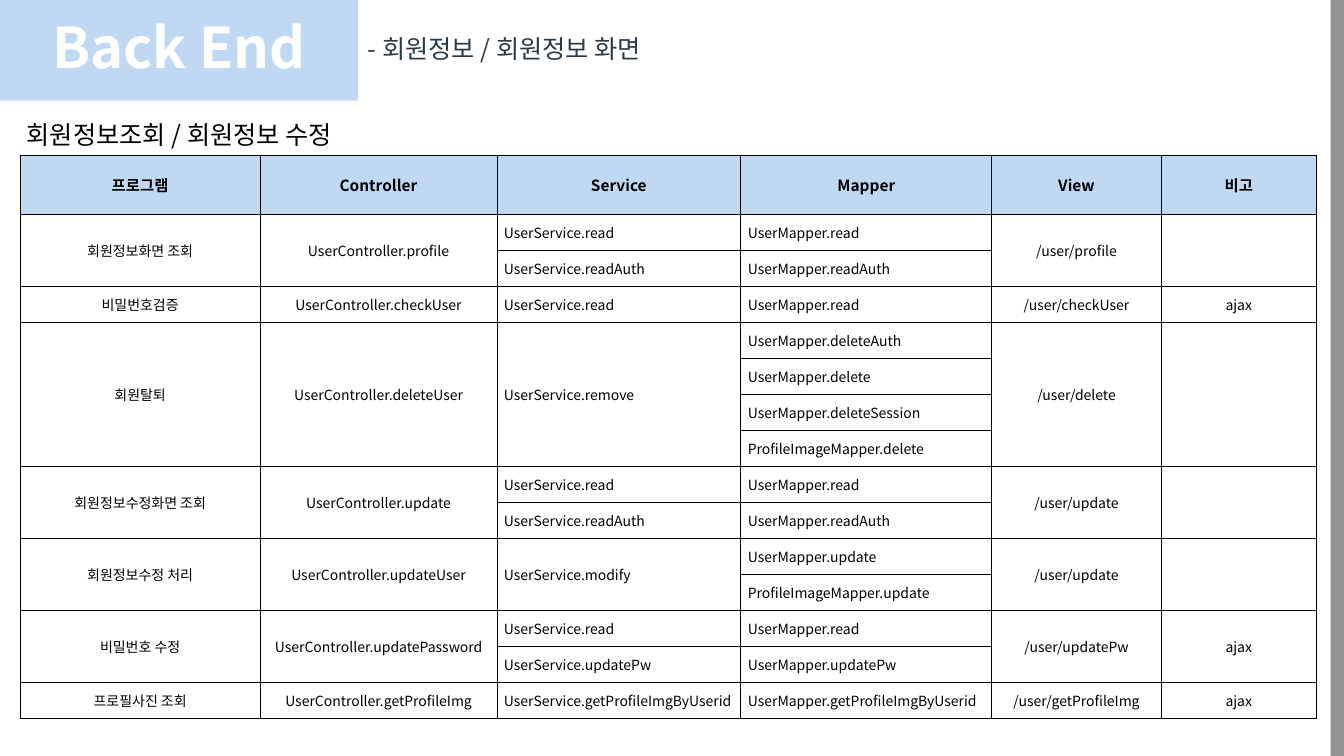
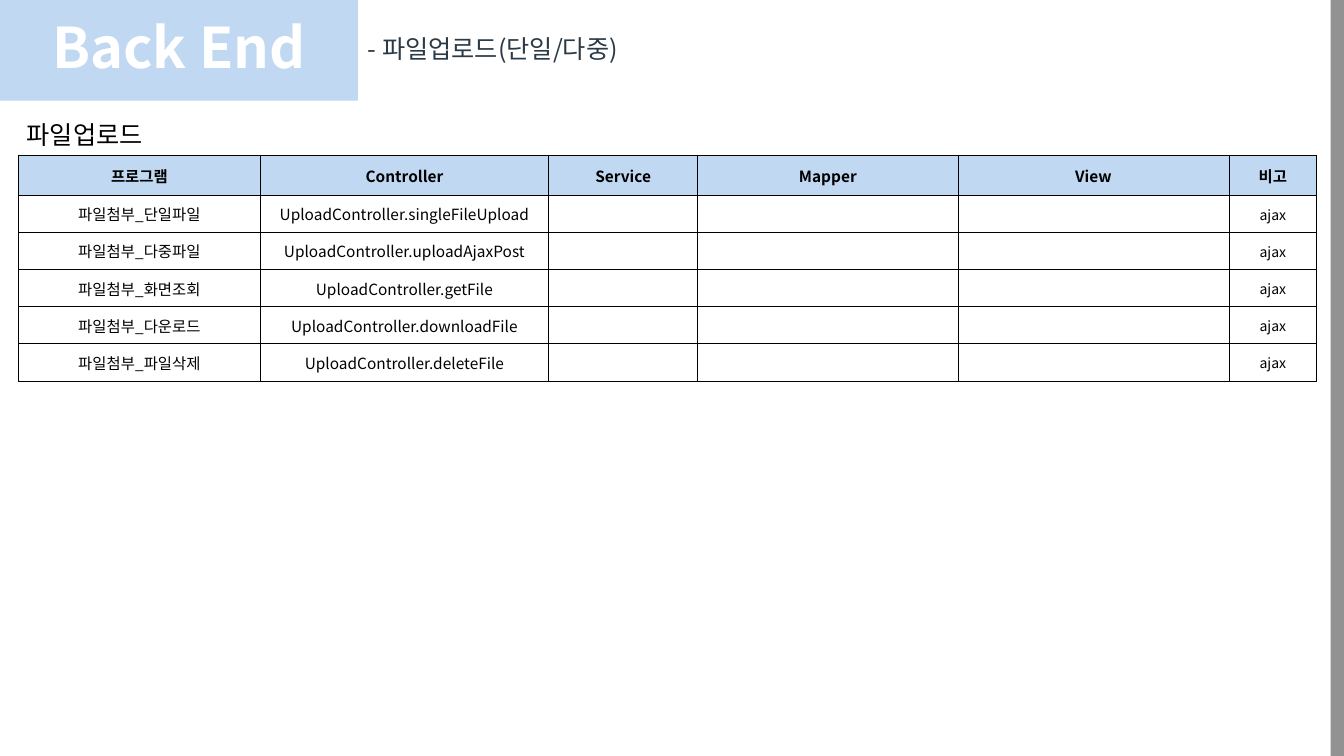
from lxml import etree
from pptx import Presentation
from pptx import util as u
from pptx.dml.color import RGBColor
from pptx.enum import shapes, text
from pptx.oxml.ns import qn

COLORS = {
    "band": "C1D8F2",
    "strip": "929292",
    "title": "2A3A46",
    "ink": "000000",
    "paper": "FFFFFF",
}
FONT = "Noto Sans CJK KR"
SLIDE_WIDTH, SLIDE_HEIGHT = u.Inches(13.33), u.Inches(7.5)
GRID_COLUMNS, GRID_ROWS = 80, 45
BAND_WIDTH, BAND_HEIGHT = 21.3, 6
STRIP_LEFT = 79.2
TABLE_TOP = 9.24
HEADINGS = ("프로그램", "Controller", "Service", "Mapper", "View", "비고")
LEFT_ALIGNED = (2, 3)
CELL_INSETS = (0.07, 0.04)
TIGHT_INSETS = (0.01, 0.01)

MEMBER_PROGRAMS = [
    ("회원정보화면 조회", "UserController.profile",
     ("UserService.read", "UserService.readAuth"),
     ("UserMapper.read", "UserMapper.readAuth"), "/user/profile", ""),
    ("비밀번호검증", "UserController.checkUser",
     "UserService.read", "UserMapper.read", "/user/checkUser", "ajax"),
    ("회원탈퇴", "UserController.deleteUser", "UserService.remove",
     ("UserMapper.deleteAuth", "UserMapper.delete",
      "UserMapper.deleteSession", "ProfileImageMapper.delete"),
     "/user/delete", ""),
    ("회원정보수정화면 조회", "UserController.update",
     ("UserService.read", "UserService.readAuth"),
     ("UserMapper.read", "UserMapper.readAuth"), "/user/update", ""),
    ("회원정보수정 처리", "UserController.updateUser", "UserService.modify",
     ("UserMapper.update", "ProfileImageMapper.update"), "/user/update", ""),
    ("비밀번호 수정", "UserController.updatePassword",
     ("UserService.read", "UserService.updatePw"),
     ("UserMapper.read", "UserMapper.updatePw"), "/user/updatePw", "ajax"),
    ("프로필사진 조회", "UserController.getProfileImg",
     "UserService.getProfileImgByUserid", "UserMapper.getProfileImgByUserid",
     "/user/getProfileImg", "ajax"),
]
UPLOAD_PROGRAMS = [
    (f"파일첨부_{action}", f"UploadController.{method}", "", "", "", "ajax")
    for action, method in (
        ("단일파일", "singleFileUpload"),
        ("다중파일", "uploadAjaxPost"),
        ("화면조회", "getFile"),
        ("다운로드", "downloadFile"),
        ("파일삭제", "deleteFile"),
    )
]


def across(columns):
    return round(SLIDE_WIDTH * columns / GRID_COLUMNS)


def down(rows):
    return round(SLIDE_HEIGHT * rows / GRID_ROWS)


def area(left, top, width, height):
    return across(left), down(top), across(width), down(height)


def color(name):
    return RGBColor.from_string(COLORS[name])


def write(frame, words, size, ink="ink", bold=False, align=text.PP_ALIGN.LEFT):
    para = frame.paragraphs[0]
    para.text = words
    para.alignment = align
    for span in para.runs:
        span.font.size = u.Pt(size)
        span.font.bold = bold
        span.font.name = FONT
        span.font.color.rgb = color(ink)
        east_asian = etree.SubElement(span._r.get_or_add_rPr(), qn("a:ea"))
        east_asian.set("typeface", FONT)
    if not para.runs:
        etree.SubElement(para._p, qn("a:endParaRPr")).set("sz", str(size * 100))
    return para


def add_bar(page, place, fill):
    bar = page.shapes.add_shape(shapes.MSO_SHAPE.RECTANGLE, *place)
    bar.shadow.inherit = False
    bar.fill.solid()
    bar.fill.fore_color.rgb = color(fill)
    bar.line.fill.background()
    return bar


def add_label(page, place, words, ink):
    box = page.shapes.add_textbox(*place)
    box.text_frame.word_wrap = True
    write(box.text_frame, words, 18, ink)
    return box


def add_page(deck, title, subtitle, subtitle_width):
    page = deck.slides.add_slide(deck.slide_layouts[6])
    add_bar(page, area(STRIP_LEFT, 0, GRID_COLUMNS - STRIP_LEFT, GRID_ROWS), "strip")
    band = add_bar(page, area(0, 0, BAND_WIDTH, BAND_HEIGHT), "band")
    band.text_frame.vertical_anchor = text.MSO_ANCHOR.MIDDLE
    section = write(band.text_frame, "Back End", 40, "paper", True, text.PP_ALIGN.CENTER)
    section.line_spacing = 0.9
    heading = add_label(
        page, area(BAND_WIDTH, 0, STRIP_LEFT - BAND_WIDTH, BAND_HEIGHT), title, "title")
    heading.text_frame.vertical_anchor = text.MSO_ANCHOR.MIDDLE
    heading.text_frame.paragraphs[0].line_spacing = 0.9
    label = add_label(page, area(1, 6.8, subtitle_width, 2.4), subtitle, "ink")
    label.text_frame.auto_size = text.MSO_AUTO_SIZE.SHAPE_TO_FIT_TEXT
    return page


def add_borders(cell):
    properties = cell._tc.get_or_add_tcPr()
    for side in ("lnL", "lnR", "lnT", "lnB"):
        line = etree.SubElement(properties, qn(f"a:{side}"), w=str(u.Pt(0.56)))
        fill = etree.SubElement(line, qn("a:solidFill"))
        etree.SubElement(fill, qn("a:srgbClr"), val=COLORS["ink"])


def fill_cell(cell, words, size, fill="paper", bold=False,
              align=text.PP_ALIGN.CENTER, insets=CELL_INSETS):
    add_borders(cell)
    cell.fill.solid()
    cell.fill.fore_color.rgb = color(fill)
    cell.vertical_anchor = text.MSO_ANCHOR.MIDDLE
    cell.margin_left = cell.margin_right = u.Inches(insets[0])
    cell.margin_top = cell.margin_bottom = u.Inches(insets[1])
    write(cell.text_frame, words, size, bold=bold, align=align)


def row_span(program):
    return max(len(entry) for entry in program if isinstance(entry, tuple)) \
        if any(isinstance(entry, tuple) for entry in program) else 1


def add_program_table(page, programs, place, weights, header_height, large_columns=()):
    row_count = 1 + sum(row_span(program) for program in programs)
    frame = page.shapes.add_table(row_count, len(HEADINGS), *place)
    table = frame.table
    table.first_row = table.horz_banding = False
    for column, weight in zip(table.columns, weights):
        column.width = round(place[2] * weight / sum(weights))
    body_height = (place[3] - header_height) // (row_count - 1)
    for index, row in enumerate(table.rows):
        row.height = body_height if index else header_height
    for column, heading in enumerate(HEADINGS):
        fill_cell(table.cell(0, column), heading, 11, "band", True)
    top = 1
    for program in programs:
        span = row_span(program)
        for column, entry in enumerate(program):
            large = column in large_columns
            align = text.PP_ALIGN.LEFT if column in LEFT_ALIGNED else text.PP_ALIGN.CENTER
            split = isinstance(entry, tuple)
            lines = entry if split else (entry,) + ("",) * (span - 1)
            for offset, words in enumerate(lines):
                fill_cell(table.cell(top + offset, column), words, 11 if large else 10,
                          align=align, insets=TIGHT_INSETS if large else CELL_INSETS)
            if span > 1 and not split:
                table.cell(top, column).merge(table.cell(top + span - 1, column))
        top += span


def main():
    deck = Presentation()
    deck.slide_width, deck.slide_height = SLIDE_WIDTH, SLIDE_HEIGHT

    page = add_page(deck, "- 회원정보 / 회원정보 화면", "회원정보조회 / 회원정보 수정", 31.74)
    add_program_table(page, MEMBER_PROGRAMS, area(1.2, TABLE_TOP, 77.16, 33.54),
                      (2.38, 2.35, 2.42, 2.49, 1.68, 1.54), down(3.5))

    page = add_page(deck, "- 파일업로드(단일/다중)", "파일업로드", 20.28)
    add_program_table(page, UPLOAD_PROGRAMS, area(1.1, TABLE_TOP, 77.28, 13.44),
                      (2.4, 2.86, 1.48, 2.58, 2.69, 0.87), down(2.4), large_columns=(0, 1))

    deck.save("out.pptx")


if __name__ == "__main__":
    main()
